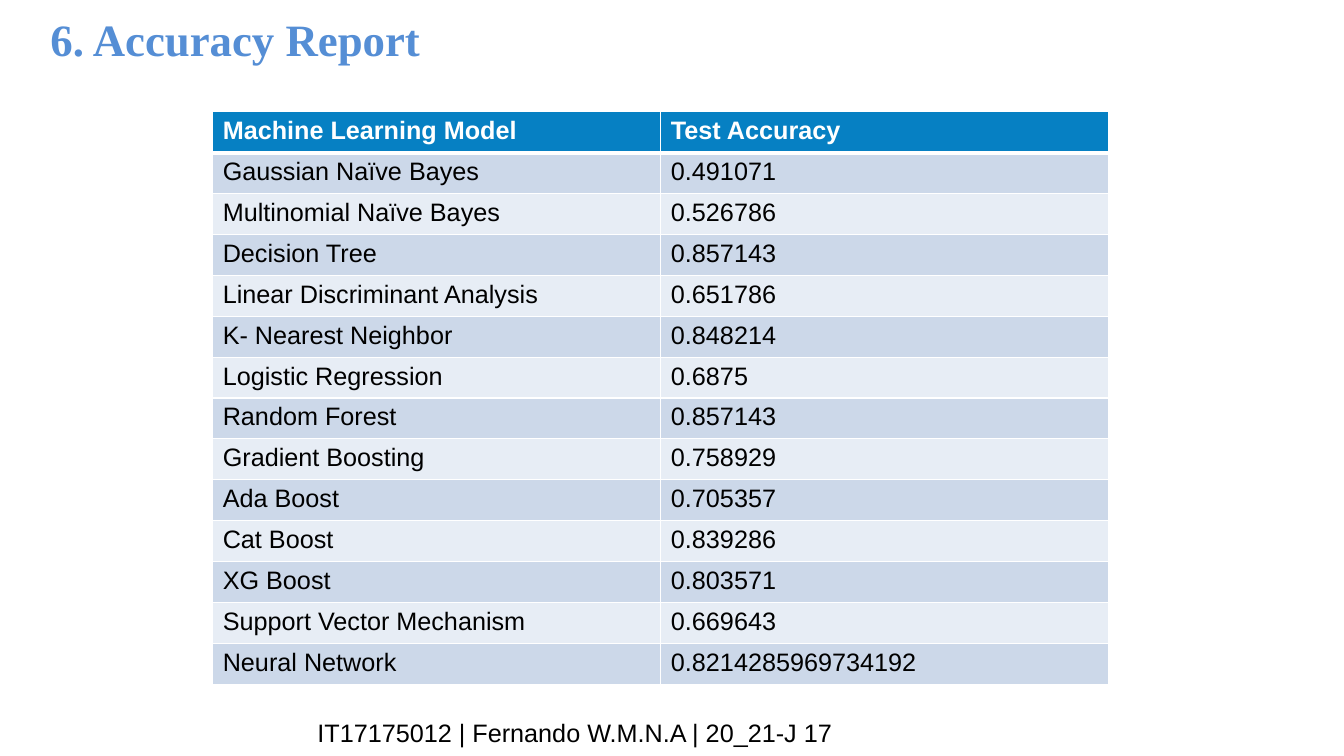
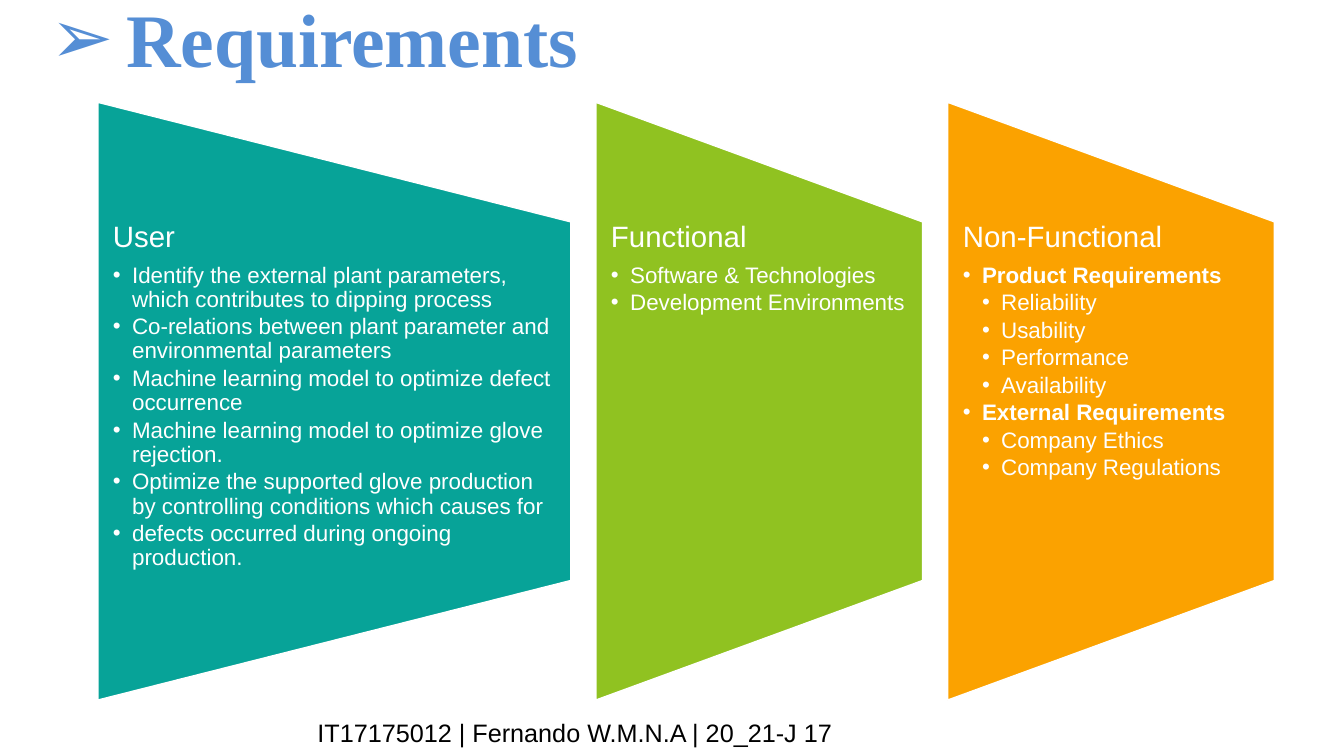
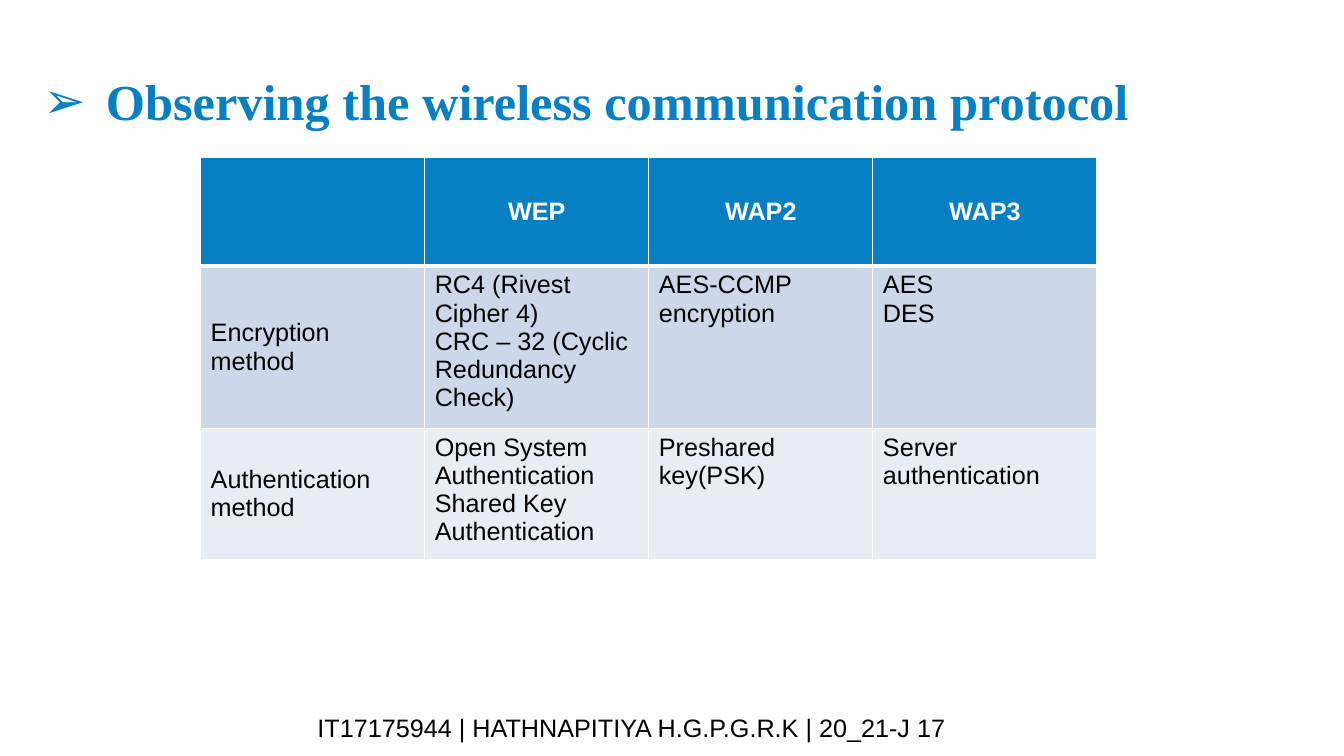
import pptx
import pptx.dml.color
import pptx.enum.shapes
import pptx.enum.text
import pptx.oxml
import pptx.oxml.ns
import pptx.util
from lxml import etree

Inches = pptx.util.Inches
Pt = pptx.util.Pt
ANCHOR = pptx.enum.text.MSO_ANCHOR
ALIGN = pptx.enum.text.PP_ALIGN

# Shared look
BODY_FONT = "Arial"
TITLE_FONT = "Times New Roman"
BLACK, WHITE = "000000", "FFFFFF"
TITLE_BLUE, STRONG_BLUE = "558ED5", "0680C3"
BANDS = ("CCD8E9", "E7EDF5")
TITLE_ONLY, COMPARISON = 5, 4

# Requirements panels
PANEL_LEFT, PANEL_GAP, PANEL_HEIGHT, PANEL_MIDDLE = 0.97, 0.25, 5.93, 3.98
PANEL_TEXT_TOP, PANEL_TEXT_HEIGHT = 2.2, 3.56
BULLET_INDENT = 0.19

ACCURACY = [
    ("Machine Learning Model", "Test Accuracy"),
    ("Gaussian Naïve Bayes", "0.491071"),
    ("Multinomial Naïve Bayes", "0.526786"),
    ("Decision Tree", "0.857143"),
    ("Linear Discriminant Analysis", "0.651786"),
    ("K- Nearest Neighbor", "0.848214"),
    ("Logistic Regression", "0.6875"),
    ("Random Forest", "0.857143"),
    ("Gradient Boosting", "0.758929"),
    ("Ada Boost", "0.705357"),
    ("Cat Boost", "0.839286"),
    ("XG Boost", "0.803571"),
    ("Support Vector Mechanism", "0.669643"),
    ("Neural Network", "0.8214285969734192"),
]

PROTOCOLS = [
    ("", "WEP", "WAP2", "WAP3"),
    ("Encryption method",
     "RC4 (Rivest Cipher 4)\nCRC – 32 (Cyclic Redundancy Check)",
     "AES-CCMP encryption", "AES\nDES"),
    ("Authentication method",
     "Open System Authentication\nShared Key Authentication",
     "Preshared key(PSK)", "Server authentication"),
]

# Heading, width, colour, items as (level, text)
PANELS = [
    ("User", 4.69, "07A398", [
        (1, "Identify the external plant parameters, which contributes to dipping process"),
        (1, "Co-relations between plant parameter and environmental parameters"),
        (1, "Machine learning model to optimize defect occurrence"),
        (1, "Machine learning model to optimize glove rejection."),
        (1, "Optimize the supported glove production by controlling conditions which causes for"),
        (1, "defects occurred during ongoing production."),
    ]),
    ("Functional", 3.24, "90C221", [
        (1, "Software & Technologies"),
        (1, "Development Environments"),
    ]),
    ("Non-Functional", 3.24, "FBA200", [
        (1, "Product Requirements"),
        (2, "Reliability"),
        (2, "Usability"),
        (2, "Performance"),
        (2, "Availability"),
        (1, "External Requirements"),
        (2, "Company Ethics"),
        (2, "Company Regulations"),
    ]),
]


# Basic formatting
def color(value):
    return pptx.dml.color.RGBColor.from_string(value)


def place(shape, left, top, width, height):
    shape.left, shape.top = Inches(left), Inches(top)
    shape.width, shape.height = Inches(width), Inches(height)


def format_runs(para, size, ink, font=BODY_FONT, bold=False):
    for span in para.runs:
        span.font.size = Pt(size)
        span.font.name = font
        span.font.bold = bold
        span.font.color.rgb = color(ink)


def set_bullet(para, mark, indent, hang):
    """Give the paragraph a bullet, or none when mark is empty."""
    props = para._p.get_or_add_pPr()
    props.set("marL", str(Inches(indent)))
    props.set("indent", str(-Inches(hang)))
    if mark:
        etree.SubElement(props, pptx.oxml.ns.qn("a:buFont")).set("typeface", BODY_FONT)
        etree.SubElement(props, pptx.oxml.ns.qn("a:buChar")).set("char", mark)
    else:
        etree.SubElement(props, pptx.oxml.ns.qn("a:buNone"))


def set_borders(cell, bottom):
    props = cell._tc.get_or_add_tcPr()
    widths = {"lnL": 1, "lnR": 1, "lnT": 1, "lnB": bottom}
    for position, (side, width) in enumerate(widths.items()):
        border = pptx.oxml.parse_xml(
            f'<a:{side} {pptx.oxml.ns.nsdecls("a")} w="{Pt(width)}">'
            f'<a:solidFill><a:srgbClr val="{WHITE}"/></a:solidFill></a:{side}>')
        props.insert(position, border)


# Slide elements
def add_page(deck, layout, title, spot, size, ink, hang=0):
    page = deck.slides.add_slide(deck.slide_layouts[layout])
    box = page.shapes.title
    place(box, *spot)
    frame = box.text_frame
    frame.text = title
    frame.word_wrap = True
    frame.auto_size = pptx.enum.text.MSO_AUTO_SIZE.NONE
    frame.vertical_anchor = ANCHOR.TOP
    para = frame.paragraphs[0]
    para.alignment = ALIGN.LEFT
    set_bullet(para, "➢" if hang else "", hang, hang)
    format_runs(para, size, ink, TITLE_FONT, bold=True)
    return page


def add_footer(page, text, top):
    box = page.shapes.add_textbox(Inches(3.05), Inches(top), Inches(10.19), Inches(0.4))
    box.text_frame.word_wrap = True
    box.text_frame.text = text
    format_runs(box.text_frame.paragraphs[0], 18, BLACK)


def add_table(page, rows, left, top, width, heights, matrix=False):
    """A matrix has centred column heads and row labels in the middle."""
    columns = len(rows[0])
    frame = page.shapes.add_table(len(rows), columns, Inches(left), Inches(top),
                                  Inches(width), Inches(sum(heights)))
    table = frame.table
    table.horz_banding = False
    for column in table.columns:
        column.width = Inches(width / columns)
    for row, values in enumerate(rows):
        table.rows[row].height = Inches(heights[row])
        header = row == 0
        for column, value in enumerate(values):
            cell = table.cell(row, column)
            cell.fill.solid()
            cell.fill.fore_color.rgb = color(STRONG_BLUE if header else BANDS[(row - 1) % 2])
            set_borders(cell, 3 if header else 1)
            if matrix and (header or column == 0):
                cell.vertical_anchor = ANCHOR.MIDDLE
            cell.text_frame.text = value
            for para in cell.text_frame.paragraphs:
                if matrix and header:
                    para.alignment = ALIGN.CENTER
                format_runs(para, 18, WHITE if header else BLACK, bold=header)


def fill_list(box, heading, items):
    frame = box.text_frame
    frame.word_wrap = True
    frame.auto_size = pptx.enum.text.MSO_AUTO_SIZE.NONE
    frame.vertical_anchor = ANCHOR.TOP
    frame.margin_left = frame.margin_right = Inches(0.15)
    frame.margin_top = frame.margin_bottom = 0
    grouped = any(level == 2 for level, text in items)
    for number, (level, text) in enumerate([(0, heading)] + items):
        para = frame.add_paragraph() if number else frame.paragraphs[0]
        para.text = text
        para.level = level
        para.alignment = ALIGN.LEFT
        para.line_spacing = 0.9
        para.space_before = Pt(0)
        para.space_after = Pt(2.4 if level else 7.35)
        set_bullet(para, "•" if level else "", BULLET_INDENT * level,
                   BULLET_INDENT if level else 0)
        format_runs(para, 16 if level else 21, WHITE, bold=grouped and level == 1)


def add_panel(page, box, left, width, fill):
    """Draw a tapering panel behind its text box."""
    panel = page.shapes.add_shape(
        pptx.enum.shapes.MSO_SHAPE.FLOWCHART_MANUAL_OPERATION, 0, 0, 0, 0)
    place(panel, left + (width - PANEL_HEIGHT) / 2, PANEL_MIDDLE - width / 2,
          PANEL_HEIGHT, width)
    panel.rotation = 270
    panel.shadow.inherit = False
    panel.fill.solid()
    panel.fill.fore_color.rgb = color(fill)
    panel.line.color.rgb = color(WHITE)
    panel.line.width = Pt(1)
    box._element.addprevious(panel._element)


# Slides
def build_accuracy(deck):
    page = add_page(deck, TITLE_ONLY, "6. Accuracy Report",
                    (0.4, 0.07, 7.26, 0.64), 32, TITLE_BLUE)
    add_table(page, ACCURACY, 2.11, 1.11, 8.89, [5.68 / len(ACCURACY)] * len(ACCURACY))
    add_footer(page, "IT17175012 | Fernando W.M.N.A | 20_21-J 17", 7.07)


def build_requirements(deck):
    page = add_page(deck, COMPARISON, "Requirements",
                    (0.4, -0.13, 6.68, 1.01), 54, TITLE_BLUE, hang=0.75)
    *boxes, spare = [holder for holder in page.placeholders
                     if holder.placeholder_format.idx > 0]
    spare._element.getparent().remove(spare._element)
    left = PANEL_LEFT
    for box, (heading, width, fill, items) in zip(boxes, PANELS):
        place(box, left, PANEL_TEXT_TOP, width, PANEL_TEXT_HEIGHT)
        fill_list(box, heading, items)
        add_panel(page, box, left, width, fill)
        left += width + PANEL_GAP
    add_footer(page, "IT17175012 | Fernando W.M.N.A | 20_21-J 17", 7.07)


def build_protocols(deck):
    page = add_page(deck, TITLE_ONLY, "Observing the wireless communication protocol",
                    (0.33, 0.65, 12.5, 0.71), 36, STRONG_BLUE, hang=0.62)
    add_table(page, PROTOCOLS, 1.99, 1.56, 8.89, [1.08, 1.61, 1.3], matrix=True)
    add_footer(page, "IT17175944 | HATHNAPITIYA H.G.P.G.R.K | 20_21-J 17", 7.02)


def main():
    deck = pptx.Presentation()
    deck.slide_width, deck.slide_height = Inches(13.33), Inches(7.5)
    build_accuracy(deck)
    build_requirements(deck)
    build_protocols(deck)
    deck.save("out.pptx")


if __name__ == "__main__":
    main()
